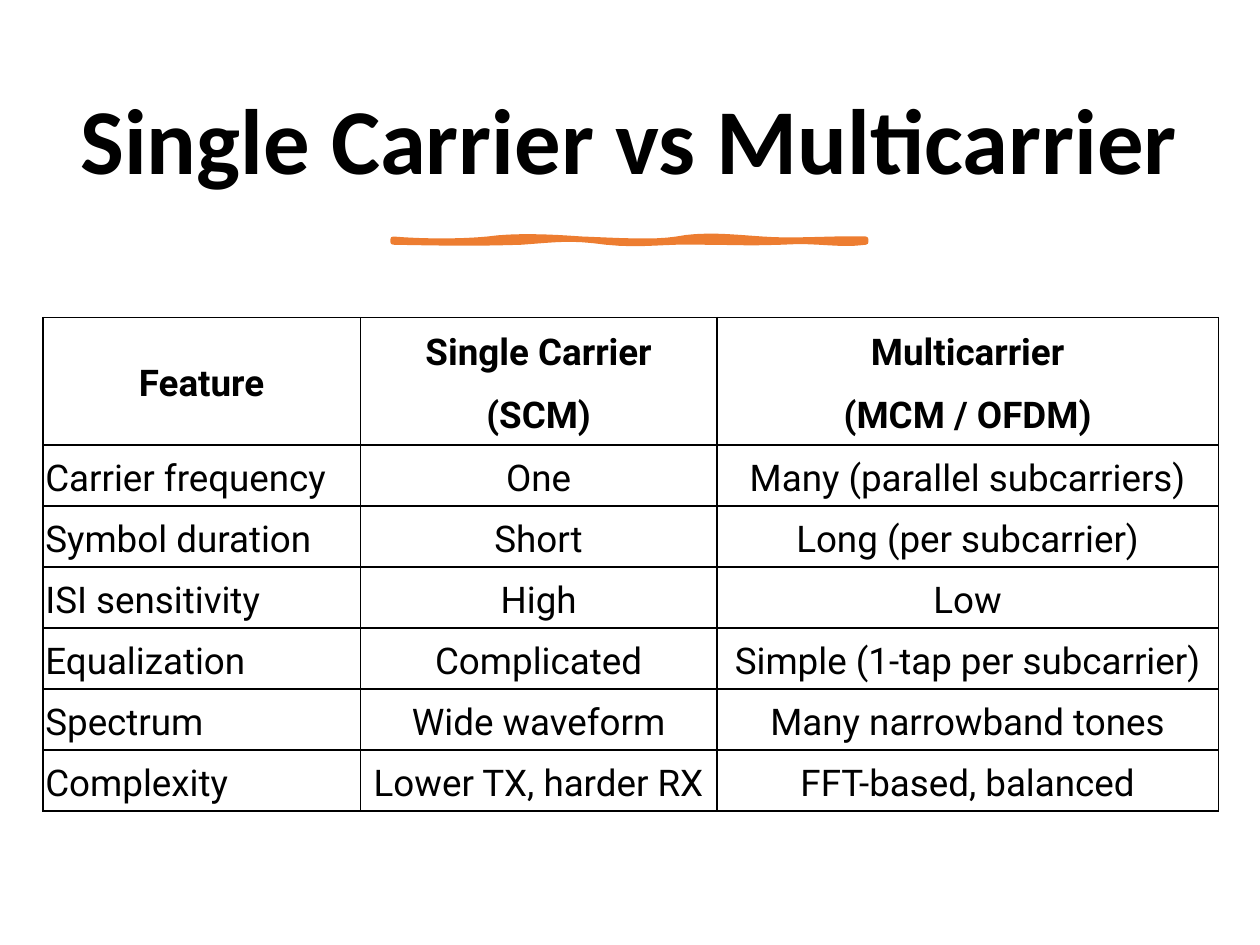
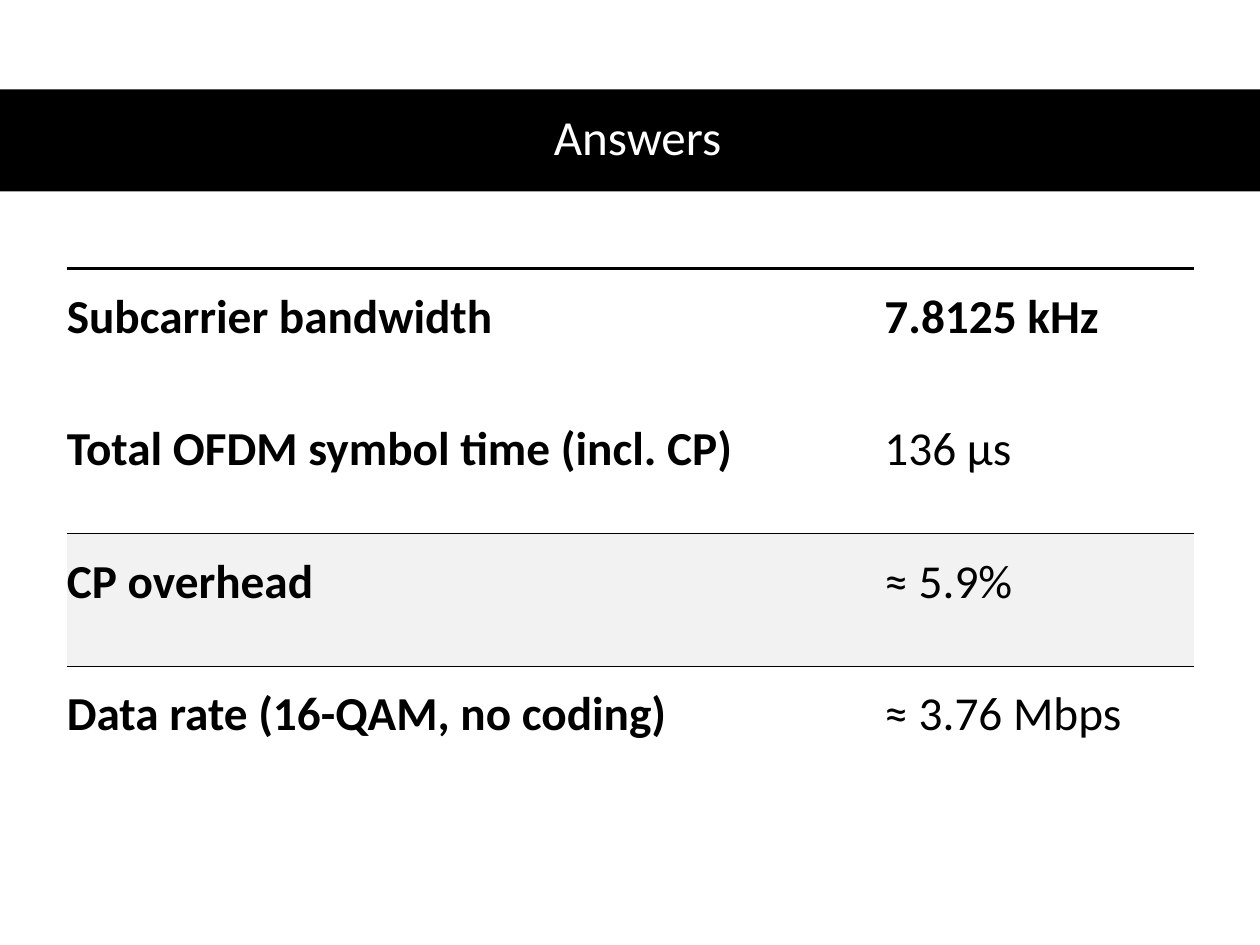
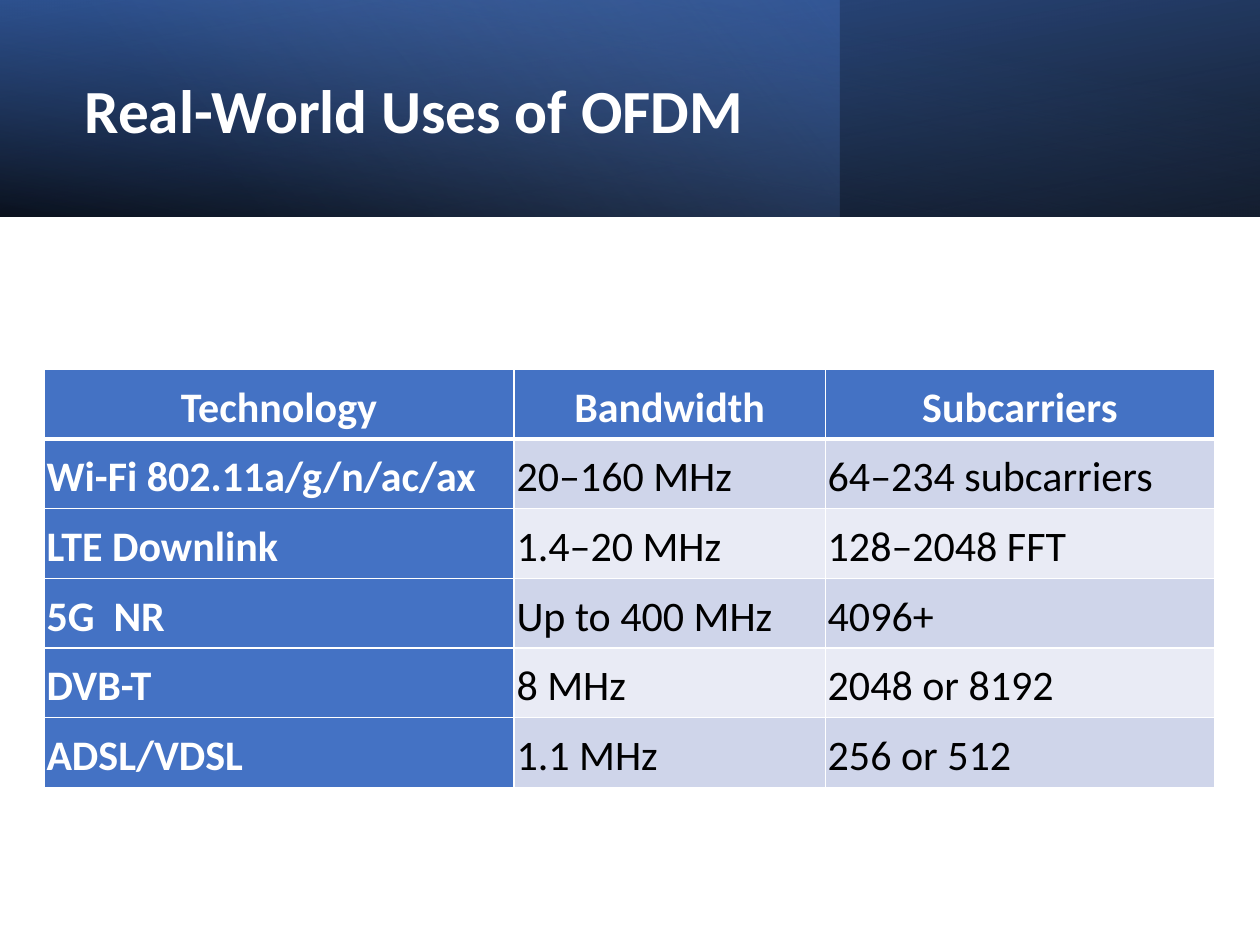
from dataclasses import dataclass
from typing import NamedTuple

from lxml.etree import SubElement
from pptx import Presentation
from pptx.dml.color import RGBColor
from pptx.enum.shapes import MSO_SHAPE as Preset
from pptx.enum.text import MSO_ANCHOR as Anchor, MSO_AUTO_SIZE as AutoSize, PP_ALIGN as Align
from pptx.oxml.ns import qn
from pptx.util import Inches, Pt


@dataclass(frozen=True)
class Theme:
    black: str = "000000"
    white: str = "FFFFFF"
    orange: str = "ED7D31"
    blue: str = "4472C4"
    deep_blue: str = "2F5597"
    light_blue: str = "8FAADC"
    shade: str = "F2F2F2"
    stripes: tuple = ("CFD5EA", "E9EBF5")
    heading_font: str = "Calibri"
    grid_font: str = "Roboto"
    big_title: int = 53
    band_title: int = 28
    header_title: int = 35
    comparison: int = 21
    answers: int = 27
    uses: int = 24


THEME = Theme()
NO_GRID_STYLE = "{2D5ABB26-0587-4C30-8999-92F81FD0307C}"
TIGHT = (0.02, 0.02, 0.02, 0.02)
SIDES = ("left", "top", "right", "bottom")


class Box(NamedTuple):
    """A region of a slide, in inches."""
    left: float
    top: float
    width: float
    height: float

    def lengths(self):
        return [Inches(value) for value in self]


def set_format(target, values):
    for name, value in values.items():
        setattr(target, name, value)


def format_para(para, font, size, color, bold=False, align=Align.LEFT, **spacing):
    set_format(para, {"alignment": align, **spacing})
    set_format(para.font, {"name": font, "size": Pt(size), "bold": bold})
    para.font.color.rgb = RGBColor.from_string(color)


def place_title(page, box, text, **style):
    """Put the title in front of everything drawn so far."""
    title = page.shapes.title
    set_format(title, dict(zip(("left", "top", "width", "height"), box.lengths())))
    frame = title.text_frame
    frame.text = text
    set_format(frame, {"word_wrap": True, "auto_size": AutoSize.NONE,
                       "vertical_anchor": Anchor.MIDDLE})
    format_para(frame.paragraphs[0], THEME.heading_font, line_spacing=0.9, **style)
    title.element.getparent().append(title.element)


def add_band(page, box):
    band = page.shapes.add_shape(Preset.RECTANGLE, *box.lengths())
    band.shadow.inherit = False
    band.line.fill.background()
    return band


def add_gradient_band(page, box, stops, angle, flipped=False, rotation=0):
    """Stops are (position, colour, opacity percent); the angle runs clockwise."""
    band = add_band(page, box)
    band.rotation = rotation
    if flipped:
        band.element.spPr.find(qn("a:xfrm")).set("flipH", "1")
    band.fill.gradient()
    band.fill.gradient_angle = 360 - angle
    for stop, (position, color, _) in zip(band.fill.gradient_stops, stops):
        stop.position = position
        stop.color.rgb = RGBColor.from_string(color)
    for color_tag, (_, _, opacity) in zip(band.element.spPr.iter(qn("a:srgbClr")), stops):
        SubElement(color_tag, qn("a:alpha"), val=str(opacity * 1000))


def draw_borders(cell, borders):
    """Borders map a side to (colour, points)."""
    properties = cell._tc.get_or_add_tcPr()
    for side, tag in (("left", "a:lnL"), ("right", "a:lnR"), ("top", "a:lnT"), ("bottom", "a:lnB")):
        if side in borders:
            color, points = borders[side]
            line = SubElement(properties, qn(tag), w=str(Pt(points)))
            SubElement(SubElement(line, qn("a:solidFill")), qn("a:srgbClr"), val=color)


def add_grid(page, box, widths, heights, rows, insets, style_cell):
    """style_cell(row, column) returns text style, fill colour or None, and borders."""
    table = page.shapes.add_table(len(rows), len(widths), *box.lengths()).table
    set_format(table, {"first_row": False, "horz_banding": False})
    table._tbl.tblPr.find(qn("a:tableStyleId")).text = NO_GRID_STYLE
    for column, width in zip(table.columns, widths):
        column.width = Inches(width)
    for row, height in zip(table.rows, heights):
        row.height = Inches(height)
    for r, texts in enumerate(rows):
        for c, text in enumerate(texts):
            cell = table.cell(r, c)
            style, fill, borders = style_cell(r, c)
            cell.text = text
            cell.vertical_anchor = Anchor.MIDDLE
            set_format(cell, {f"margin_{side}": Inches(inset)
                              for side, inset in zip(SIDES, insets)})
            for para in cell.text_frame.paragraphs:
                format_para(para, line_spacing=1.15, space_after=Pt(8), **style)
            draw_borders(cell, borders)
            if fill:
                cell.fill.solid()
                cell.fill.fore_color.rgb = RGBColor.from_string(fill)
            else:
                cell.fill.background()


def sample_curve(points, steps=8):
    """Points along a chain of cubic curves that share their end points."""
    samples = [points[0]]
    for first in range(0, len(points) - 1, 3):
        a, b, c, d = points[first:first + 4]
        for step in range(1, steps + 1):
            t = step / steps
            u = 1 - t
            samples.append(tuple(u**3 * a[i] + 3 * u * u * t * b[i] + 3 * u * t * t * c[i]
                                 + t**3 * d[i] for i in (0, 1)))
    return samples


def add_brush_stroke(page, box):
    upper = [(0, 0), (0.24, 0.02), (0.54, 0.02), (0.75, 0), (0.96, -0.03), (1.23, -0.02),
             (1.5, 0), (1.78, 0.01), (2.06, 0.03), (2.25, 0), (2.45, -0.04), (2.66, -0.02),
             (2.93, 0), (3.19, 0.02), (3.51, -0.01), (box.width, 0)]
    lower = [(box.width, box.height), (3.53, 0.05), (3.38, 0), (3.08, 0.02), (2.78, 0.03),
             (2.72, 0.02), (2.44, 0.02), (2.16, 0.01), (1.98, 0.05), (1.69, 0.02),
             (1.4, -0.02), (1.3, 0), (1.02, 0.02), (0.74, 0.03), (0.46, 0.03), (0, box.height)]
    outline = [(Inches(box.left + x), Inches(box.top + y))
               for x, y in sample_curve(upper) + sample_curve(lower)]
    builder = page.shapes.build_freeform(*outline[0])
    builder.add_line_segments(outline[1:], close=True)
    stroke = builder.convert_to_shape()
    stroke.shadow.inherit = False
    stroke.line.width = Pt(3.25)
    for fill in (stroke.fill, stroke.line.fill):
        fill.solid()
        fill.fore_color.rgb = RGBColor.from_string(THEME.orange)
    SubElement(stroke.element.spPr.find(qn("a:ln")), qn("a:round"))


def add_comparison_table(page, box):
    rows = [
        ("Feature", "Single Carrier\n(SCM)", "Multicarrier\n(MCM / OFDM)"),
        ("Carrier frequency", "One", "Many (parallel subcarriers)"),
        ("Symbol duration", "Short", "Long (per subcarrier)"),
        ("ISI sensitivity", "High", "Low"),
        ("Equalization", "Complicated", "Simple (1-tap per subcarrier)"),
        ("Spectrum", "Wide waveform", "Many narrowband tones"),
        ("Complexity", "Lower TX, harder RX", "FFT-based, balanced"),
    ]

    def style_cell(row, column):
        style = {"font": THEME.grid_font, "size": THEME.comparison, "color": THEME.black,
                 "bold": row == 0,
                 "align": Align.LEFT if row and column == 0 else Align.CENTER}
        return style, None, dict.fromkeys(SIDES, (THEME.black, 1))

    header = 1.01
    body = (box.height - header) / (len(rows) - 1)
    add_grid(page, box, (2.52, 2.83, 3.98), [header] + [body] * (len(rows) - 1),
             rows, TIGHT, style_cell)


def add_answers_table(page, box):
    rows = [
        ("Subcarrier bandwidth", "7.8125 kHz"),
        ("Total OFDM symbol time (incl. CP)", "136 µs"),
        ("CP overhead", "≈ 5.9%"),
        ("Data rate (16-QAM, no coding)", "≈ 3.76 Mbps"),
    ]
    shaded = 2
    rules = {0: {"top": (THEME.black, 2.25)},
             shaded - 1: {"bottom": (THEME.black, 0.5)},
             shaded: {"top": (THEME.black, 0.5)}}

    def style_cell(row, column):
        style = {"font": THEME.heading_font, "size": THEME.answers, "color": THEME.black,
                 "bold": row == 0 or column == 0}
        return style, THEME.shade if row == shaded else None, rules.get(row, {})

    add_grid(page, box, (6.49, 2.46), [box.height / len(rows)] * len(rows),
             rows, (0, 0.05, 0.13, 0.4), style_cell)


def add_uses_table(page, box):
    rows = [
        ("Technology", "Bandwidth", "Subcarriers"),
        ("Wi-Fi 802.11a/g/n/ac/ax", "20–160 MHz", "64–234 subcarriers"),
        ("LTE Downlink", "1.4–20 MHz", "128–2048 FFT"),
        ("5G  NR", "Up to 400 MHz", "4096+"),
        ("DVB-T", "8 MHz", "2048 or 8192"),
        ("ADSL/VDSL", "1.1 MHz", "256 or 512"),
    ]

    def style_cell(row, column):
        heading = row == 0 or column == 0
        style = {"font": THEME.heading_font, "size": THEME.uses, "bold": heading,
                 "color": THEME.white if heading else THEME.black,
                 "align": Align.LEFT if row else Align.CENTER}
        borders = dict.fromkeys(SIDES, (THEME.white, 1))
        if row < 2:
            borders["top" if row else "bottom"] = (THEME.white, 3)
        return style, THEME.blue if heading else THEME.stripes[(row - 1) % 2], borders

    add_grid(page, box, (3.73, 2.47, 3.09), [box.height / len(rows)] * len(rows),
             rows, TIGHT, style_cell)


def add_black_band(page, box):
    band = add_band(page, box)
    band.fill.solid()
    band.fill.fore_color.rgb = RGBColor.from_string(THEME.black)


def add_blue_header(page, box):
    add_gradient_band(page, box, [(0, THEME.black, 96), (1, THEME.deep_blue, 100)],
                      angle=100, flipped=True, rotation=180)
    add_gradient_band(page, box._replace(width=box.width * 2 / 3),
                      [(0, THEME.blue, 41), (0.74, THEME.light_blue, 0)], angle=140)
    add_gradient_band(page, box, [(0, THEME.black, 63), (0.78, THEME.blue, 15)],
                      angle=260, flipped=True)


def build_comparison_slide(page):
    place_title(page, Box(0.52, 0.46, 8.95, 1.37), "Single Carrier vs Multicarrier",
                size=THEME.big_title, color=THEME.black, bold=True, align=Align.CENTER)
    add_brush_stroke(page, Box(3.12, 1.9, 3.75, 0.02))
    add_comparison_table(page, Box(0.34, 2.52, 9.33, 3.92))


def build_answers_slide(page):
    add_black_band(page, Box(0, 0.71, 10, 0.81))
    place_title(page, Box(0.46, 0.7, 9.2, 0.81), "Answers",
                size=THEME.band_title, color=THEME.white, align=Align.CENTER)
    add_answers_table(page, Box(0.53, 2.13, 8.94, 4.21))


def build_uses_slide(page):
    add_blue_header(page, Box(0, 0, 10, 1.72))
    place_title(page, Box(0.57, 0.27, 5.79, 1.27), "Real-World Uses of OFDM",
                size=THEME.header_title, color=THEME.white, bold=True)
    add_uses_table(page, Box(0.35, 2.93, 9.29, 3.32))


def main():
    deck = Presentation()
    set_format(deck, {"slide_width": Inches(10), "slide_height": Inches(7.5)})
    title_only = deck.slide_layouts.get_by_name("Title Only")
    for build in (build_comparison_slide, build_answers_slide, build_uses_slide):
        build(deck.slides.add_slide(title_only))
    deck.save("out.pptx")


if __name__ == "__main__":
    main()
